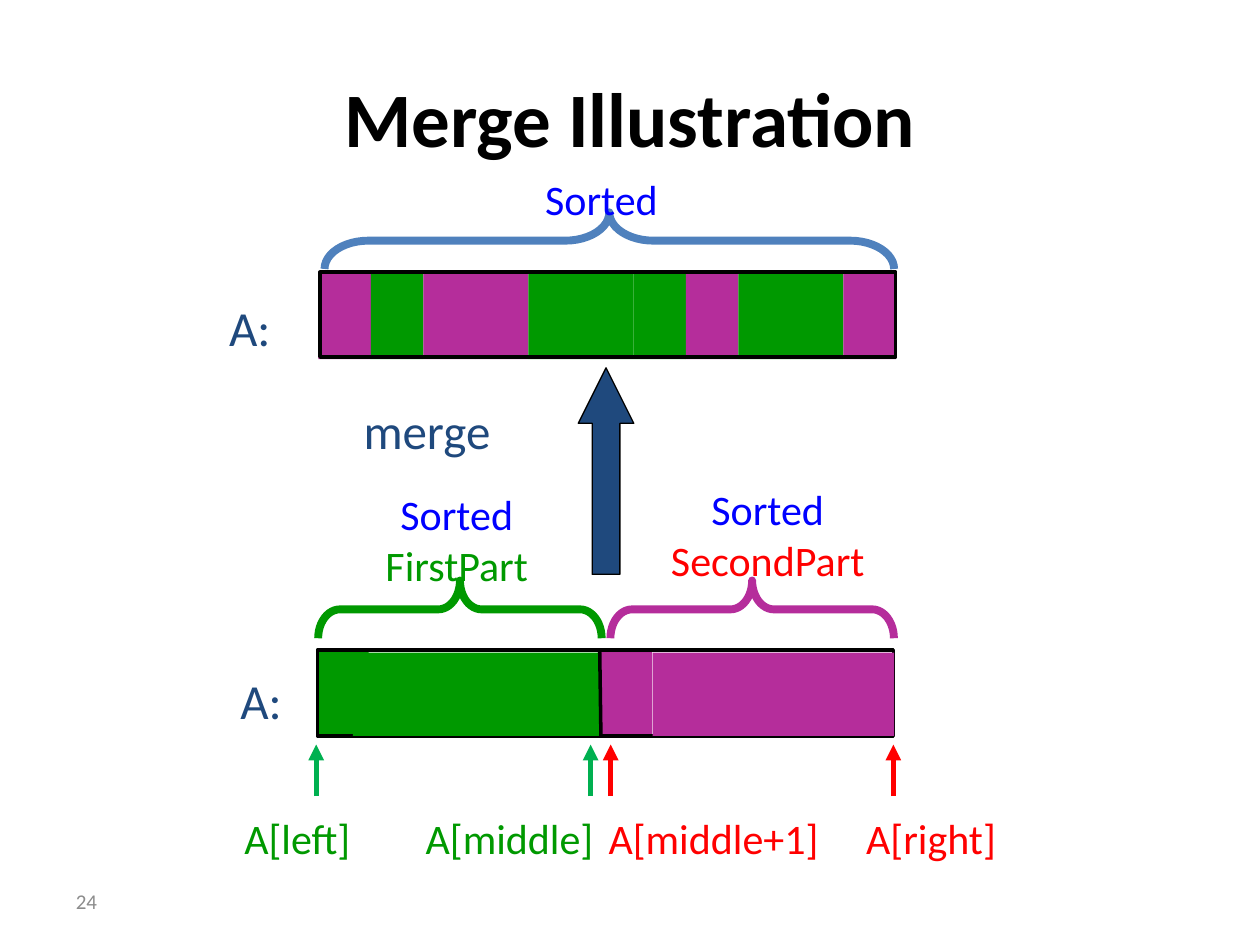
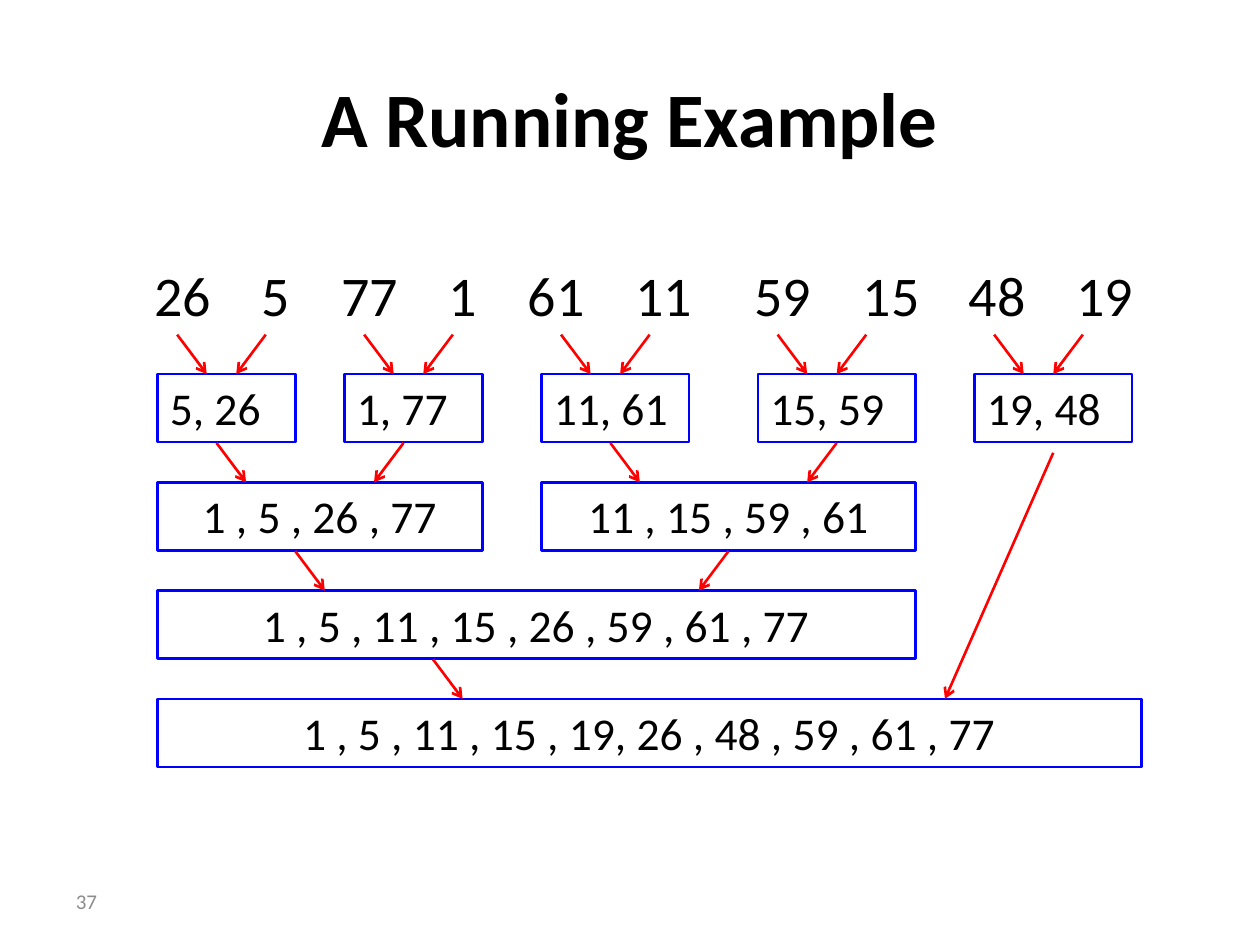
from lxml import etree
from pptx import Presentation
from pptx.dml import color as colors
from pptx.enum import shapes, text as texts
from pptx.oxml import ns
from pptx.util import Pt

BLACK, BLUE, RED, NAVY = "000000", "0000FF", "FF0000", "1F497D"
GREEN, ARROW_GREEN, PURPLE = "009900", "00B050", "B52D9B"
STEEL, GRAY = "4F81BD", "8C8C8C"
RECT = shapes.MSO_SHAPE.RECTANGLE
BRACE = shapes.MSO_SHAPE.RIGHT_BRACE
UP_ARROW = shapes.MSO_SHAPE.UP_ARROW
LEFT, CENTER, RIGHT = texts.PP_ALIGN.LEFT, texts.PP_ALIGN.CENTER, texts.PP_ALIGN.RIGHT
TOP, MIDDLE = texts.MSO_ANCHOR.TOP, texts.MSO_ANCHOR.MIDDLE


def paint(fill, color):
    """Give a shape, line or font fill a hex colour, or none."""
    if color is None:
        fill.background()
    else:
        fill.solid()
        fill.fore_color.rgb = colors.RGBColor.from_string(color)


def write(box, text, size=24, color=BLACK, bold=False, align=CENTER, anchor=TOP, tabs=()):
    """Write one paragraph; text is a string or a list of (string, colour)."""
    frame = box.text_frame
    frame.word_wrap = True
    frame.vertical_anchor = anchor
    para = frame.paragraphs[0]
    para.alignment = align
    for words, ink in [(text, color)] if isinstance(text, str) else text:
        span = para.add_run()
        span.text = words
        span.font.name, span.font.size, span.font.bold = "Calibri", Pt(size), bold
        paint(span.font.fill, ink)
    if tabs:
        stops = etree.SubElement(para._p.get_or_add_pPr(), ns.qn("a:tabLst"))
        for stop in tabs:
            etree.SubElement(stops, ns.qn("a:tab"), pos=str(Pt(stop)), algn="l")


# Figures: (preset, (left, top, width, height), fill, line, weight, adjustments, text, align)
# Lines: (start x, start y, end x, end y, colour, weight, arrowhead)
# Labels: ((left, top, width, height), text, format)

# Merge Illustration: two sorted halves below, the merged array above
merge_figures = [
    (RECT, (342.7, 370.8, 30, 49.7), PURPLE, None, 0, (), "", CENTER),
    (RECT, (180.7, 370.8, 30, 49.7), GREEN, None, 0, (), "", CENTER),
    (RECT, (181.5, 371.5, 329, 49), None, BLACK, 2, (), "", CENTER),
    (RECT, (373, 373, 138, 47.5), PURPLE, None, 0, (), "", CENTER),
    (RECT, (201.6, 373, 141.8, 47.5), GREEN, None, 0, (), "", CENTER),
]
for cell, letter in enumerate("PGPPGGGPGGP"):
    fill = PURPLE if letter == "P" else GREEN
    merge_figures.append((RECT, (182 + 30 * cell, 155.5, 30, 49.7), fill, None, 0, (), "", CENTER))
merge_figures += [
    (RECT, (182.9, 155.5, 329, 48.5), None, BLACK, 2, (), "", CENTER),
    (UP_ARROW, (330.5, 210.2, 31.7, 118), NAVY, BLACK, 0.75, (0.5, 1), "", CENTER),
]
for center_x, center_y, depth, span_width, bend, color in [
    (262.8, 348.2, 33, 162, 0.375, GREEN),
    (429.8, 348.2, 33, 162, 0.375, PURPLE),
    (348.2, 137.5, 32.4, 325.5, 0.777, STEEL),
]:
    frame = (center_x - depth / 2, center_y - span_width / 2, depth, span_width)
    merge_figures.append((BRACE, frame, None, color, 4.5, (bend, 0.5), "", CENTER))

merge_lines = [(342.7, 370.8, 343.4, 420.5, BLACK, 2, None)]
for x, color in [(180.7, ARROW_GREEN), (337.5, ARROW_GREEN), (349, RED), (510.5, RED)]:
    merge_lines.append((x, 455, x, 425.5, color, 3, "triangle"))

merge_labels = [
    ((247.7, 95.8, 192, 36.7), "Sorted", dict(color=BLUE)),
    ((180, 275.8, 162, 65.5), [("Sorted ", BLUE), ("FirstPart", GREEN)], {}),
    ((342.7, 272.9, 192, 65.5), [("Sorted ", BLUE), ("SecondPart", RED)], {}),
    ((169, 225.4, 150, 41), "merge", dict(size=28, color=NAVY)),
    ((123.8, 166.3, 51, 41), "A:", dict(size=28, color=NAVY, align=LEFT)),
    ((130.3, 379.4, 51, 41), "A:", dict(size=28, color=NAVY, align=LEFT)),
]
for left, width, label, color in [
    (128.9, 82, "A[left]", GREEN),
    (235.4, 111.6, "A[middle]", GREEN),
    (339, 137.5, "A[middle+1]", RED),
    (485.3, 93.6, "A[right]", RED),
]:
    merge_labels.append(((left, 460.8, width, 36.7), label, dict(color=color)))

# A Running Example: rows of merged lists on a grid of equal units
UNIT = 45 / 8
ROW_TOP, ROW_PITCH, ARROW_RISE = 38, 11, 4
rows = [
    [(16, 14, "5, 26"), (35, 14, "1, 77"), (55, 15, "11, 61"),
     (77, 16, "15, 59"), (99, 16, "19, 48")],
    [(16, 33, "1 , 5 , 26 , 77"), (55, 38, "11 , 15 , 59 , 61")],
    [(16, 77, "1 , 5 , 11 , 15 , 26 , 59 , 61 , 77")],
    [(16, 100, "1 , 5 , 11 , 15 , 19, 26 , 48 , 59 , 61 , 77")],
]
# Arrow starts in each row: those leaning right, then those leaning left
first_row = [left for left, width, label in rows[0]]
arrow_starts = [
    ([left + 2 for left in first_row], [left + 11 for left in first_row]),
    ([22, 62], [41, 85]),
    ([30], [74]),
    ([44], []),
]
example_figures = []
example_lines = [(107 * UNIT, 46 * UNIT, 96 * UNIT, 71 * UNIT, RED, 1.5, "arrow")]
for index, (row, leanings) in enumerate(zip(rows, arrow_starts)):
    top = (ROW_TOP + ROW_PITCH * index) * UNIT
    for left, width, label in row:
        example_figures.append((RECT, (left * UNIT, top, width * UNIT, 38.9), None, BLUE, 1.5, (),
                                label, CENTER if index else LEFT))
    for step, starts in zip((3, -3), leanings):
        for start in starts:
            example_lines.append((start * UNIT, top - ARROW_RISE * UNIT, (start + step) * UNIT, top,
                                  RED, 1.5, "arrow"))

numbers = [26, 5, 77, 1, 61, 11, 59, 15, 48, 19]
number_tabs = [27, 88.5, 134, 195, 240.5, 302, 370, 432, 492.5, 554]
example_labels = [((54, 145.4, 621, 340.6), "".join(f"\t{number}" for number in numbers),
                   dict(size=32, align=LEFT, tabs=number_tabs))]

# Build the deck
deck = Presentation()
deck.slide_width, deck.slide_height = Pt(720), Pt(540)
for title, page_number, figures, lines, labels in [
    ("Merge Illustration", "24", merge_figures, merge_lines, merge_labels),
    ("A Running Example", "37", example_figures, example_lines, example_labels),
]:
    page = deck.slides.add_slide(deck.slide_layouts[6])

    # Bars, braces and boxes
    for preset, frame, fill, line, weight, adjustments, label, align in figures:
        shape = page.shapes.add_shape(preset, *map(Pt, frame))
        shape.shadow.inherit = False
        paint(shape.fill, fill)
        paint(shape.line.fill, line)
        if line:
            shape.line.width = Pt(weight)
        for position, value in enumerate(adjustments):
            shape.adjustments[position] = value
        if preset == BRACE:
            shape.rotation = 270
        if label:
            write(shape, label, size=26, align=align)

    # Lines and arrows
    for x1, y1, x2, y2, color, weight, head in lines:
        link = page.shapes.add_connector(shapes.MSO_CONNECTOR.STRAIGHT, *map(Pt, (x1, y1, x2, y2)))
        paint(link.line.fill, color)
        link.line.width = Pt(weight)
        if head:
            etree.SubElement(link.line._get_or_add_ln(), ns.qn("a:tailEnd"), type=head)
        etree.SubElement(link._element.spPr, ns.qn("a:effectLst"))

    # Title, labels and page number
    for frame, label, style in [
        ((36, 21.6, 648, 90), title, dict(size=44, bold=True, anchor=MIDDLE)),
        *labels,
        ((0, 500.4, 62.6, 28.8), page_number,
         dict(size=12, color=GRAY, align=RIGHT, anchor=MIDDLE)),
    ]:
        write(page.shapes.add_textbox(*map(Pt, frame)), label, **style)

deck.save("out.pptx")
